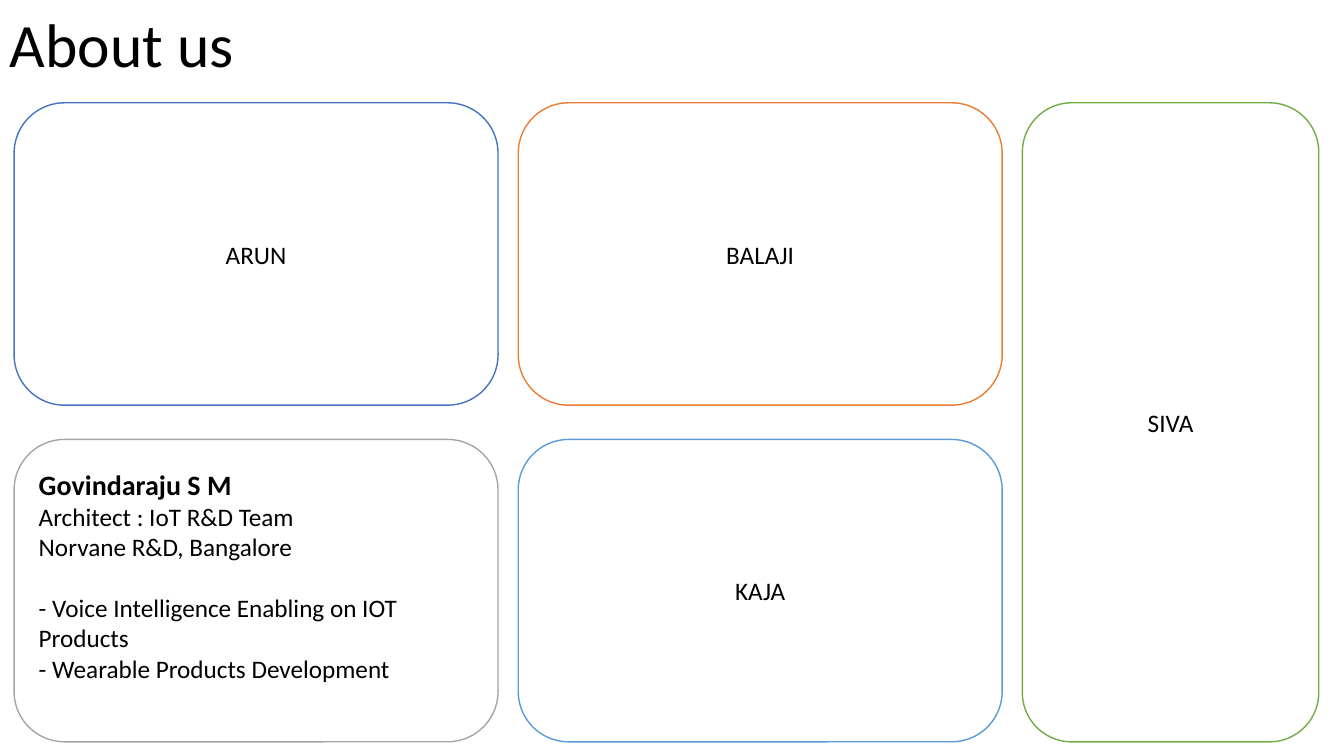
from dataclasses import dataclass

import pptx
import pptx.dml.color
import pptx.enum.shapes
import pptx.enum.text
import pptx.util

Inches, Pt = pptx.util.Inches, pptx.util.Pt
RGB = pptx.dml.color.RGBColor.from_string
ALIGN = pptx.enum.text.PP_ALIGN


@dataclass(frozen=True)
class Theme:
    font: str = "Calibri"
    ink: str = "000000"
    paper: str = "FFFFFF"
    blue: str = "4472C4"
    orange: str = "ED7D31"
    gray: str = "A5A5A5"
    sky: str = "5B9BD5"
    green: str = "70AD47"
    title_size: int = 44
    name_size: int = 20
    body_size: int = 18


THEME = Theme()


@dataclass(frozen=True)
class Line:
    text: str
    size: int = THEME.body_size
    bold: bool = False
    space_before: int = 0
    spacing: float = 1.0


@dataclass(frozen=True)
class Member:
    column: int
    row: int
    outline: str
    lines: tuple[Line, ...]
    rows: int = 1
    align: int = ALIGN.CENTER
    bottom_inset: float = 0.05


# Card grid
LEFT, TOP = 0.14, 1.02
CARD_WIDTH, CARD_HEIGHT, LAST_WIDTH = 4.8, 3.0, 2.94
COLUMN_GAP, ROW_GAP = 0.2, 0.34
COLUMN_WIDTHS = (CARD_WIDTH, CARD_WIDTH, LAST_WIDTH)

BIO = (
    Line("Govindaraju S M", THEME.name_size, bold=True),
    Line("Architect : IoT R&D Team"),
    Line("Norvane R&D, Bangalore"),
    Line("- Voice Intelligence Enabling on IOT Products", space_before=22),
    Line("- Wearable Products Development"),
)
TEAM = (
    Member(0, 0, THEME.blue, (Line("ARUN"),)),
    Member(0, 1, THEME.gray, BIO, align=ALIGN.LEFT, bottom_inset=0.35),
    Member(1, 1, THEME.sky, (Line("KAJA"),)),
    Member(1, 0, THEME.orange, (Line("BALAJI"),)),
    Member(2, 0, THEME.green, (Line("SIVA"),), rows=2),
)


def apply(target: object, formats: dict) -> None:
    for attribute, value in formats.items():
        setattr(target, attribute, value)


def write(shape: pptx.shapes.autoshape.Shape, lines: tuple[Line, ...], align: int,
          bottom_inset: float = 0.05) -> None:
    frame = shape.text_frame
    apply(frame, {"word_wrap": True, "margin_bottom": Inches(bottom_inset),
                  "vertical_anchor": pptx.enum.text.MSO_ANCHOR.MIDDLE})
    for index, line in enumerate(lines):
        paragraph = frame.add_paragraph() if index else frame.paragraphs[0]
        apply(paragraph, {"alignment": align, "line_spacing": line.spacing,
                          "space_before": Pt(line.space_before)})
        run = paragraph.add_run()
        run.text = line.text
        apply(run.font, {"name": THEME.font, "size": Pt(line.size), "bold": line.bold})
        run.font.color.rgb = RGB(THEME.ink)


def draw_member(slide: pptx.slide.Slide, member: Member) -> None:
    left = LEFT + member.column * (CARD_WIDTH + COLUMN_GAP)
    top = TOP + member.row * (CARD_HEIGHT + ROW_GAP)
    height = member.rows * CARD_HEIGHT + (member.rows - 1) * ROW_GAP
    card = slide.shapes.add_shape(
        pptx.enum.shapes.MSO_SHAPE.ROUNDED_RECTANGLE, Inches(left), Inches(top),
        Inches(COLUMN_WIDTHS[member.column]), Inches(height))
    card.shadow.inherit = False
    card.fill.solid()
    card.fill.fore_color.rgb = RGB(THEME.paper)
    card.line.color.rgb = RGB(member.outline)
    card.line.width = Pt(1)
    write(card, member.lines, member.align, member.bottom_inset)


deck = pptx.Presentation()
apply(deck, {"slide_width": Inches(13.33), "slide_height": Inches(7.5)})
about_us = deck.slides.add_slide(deck.slide_layouts[6])

# Heading
heading = about_us.shapes.add_textbox(Inches(0), Inches(0.02), Inches(13.33), Inches(0.9))
write(heading, (Line("About us", THEME.title_size, spacing=0.9),), ALIGN.LEFT)

# Team cards
for member in TEAM:
    draw_member(about_us, member)

deck.save("out.pptx")
